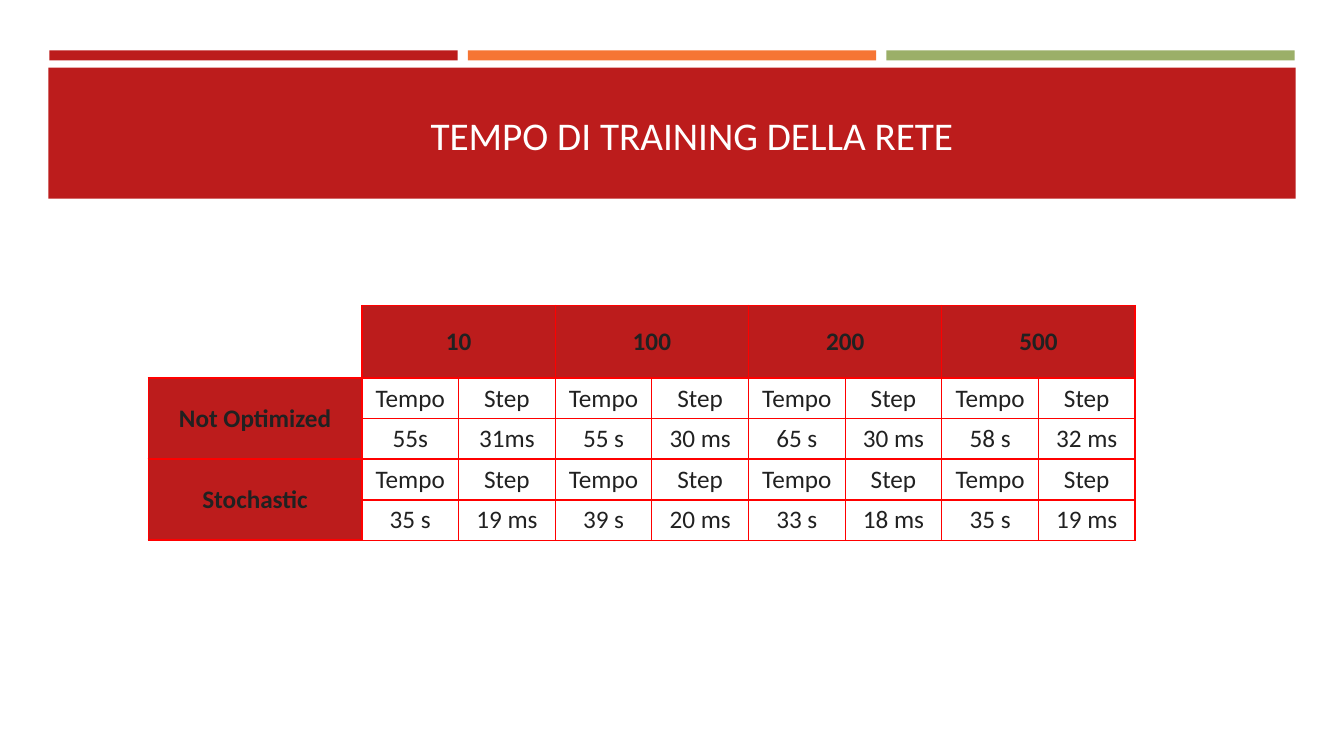
"""Slide with the training times of the network, by number of samples and method."""
from lxml import etree
from pptx import Presentation
from pptx.dml.color import RGBColor
from pptx.enum.shapes import MSO_SHAPE
from pptx.enum.text import MSO_ANCHOR, MSO_AUTO_SIZE, PP_ALIGN
from pptx.oxml.ns import qn
from pptx.util import Inches, Pt

RECT = MSO_SHAPE.RECTANGLE
CENTER = PP_ALIGN.CENTER
TOP, MIDDLE, BOTTOM = MSO_ANCHOR.TOP, MSO_ANCHOR.MIDDLE, MSO_ANCHOR.BOTTOM
NO_FIT = MSO_AUTO_SIZE.NONE

TITLE = "TEMPO DI TRAINING DELLA RETE "
SIZES = ["10", "100", "200", "500"]
MEASURES = ["Tempo", "Step"]
TIMES = {
    "Not Optimized": [("55s", "31ms"), ("55 s", "30 ms"), ("65 s", "30 ms"), ("58 s", "32 ms")],
    "Stochastic": [("35 s", "19 ms"), ("39 s", "20 ms"), ("33 s", "18 ms"), ("35 s", "19 ms")],
}
COLORS = {"red": "BC1C1C", "orange": "F67534", "green": "9BAF68",
          "border": "FF0000", "text": "212121", "white": "FFFFFF"}
FONT = "Calibri"

BAR_LEFT, BAR_TOP, BAR_W, BAR_H, BAR_STEP = 0.49, 0.5, 4.05, 0.1, 4.15
GRID_LEFT, GRID_TOP = 1.47, 3.03
LABEL_W, GROUP_W, HEAD_H, BLOCK_H = 2.12, 1.917, 0.72, 0.804


def rgb(name):
    return RGBColor.from_string(COLORS[name])


def style(p, size, color, bold=False):
    p.alignment = CENTER
    p.font.name, p.font.size, p.font.bold = FONT, Pt(size), bold
    p.font.color.rgb = rgb(color)


def add_bar(s, x, y, w, h, color):
    sp = s.shapes.add_shape(RECT, Inches(x), Inches(y), Inches(w), Inches(h))
    sp.shadow.inherit = False
    sp.fill.solid()
    sp.fill.fore_color.rgb = rgb(color)
    sp.line.fill.background()


def add_borders(cell):
    tc_pr = cell._tc.get_or_add_tcPr()
    for i, side in enumerate(("lnL", "lnR", "lnT", "lnB")):
        ln = etree.Element(qn("a:" + side), w=str(Pt(1)))
        fill = etree.SubElement(ln, qn("a:solidFill"))
        etree.SubElement(fill, qn("a:srgbClr"), val=COLORS["border"])
        tc_pr.insert(i, ln)


def add_grid(s, x, y, w, h, rows, header=False):
    n_rows, n_cols = len(rows), len(rows[0])
    table = s.shapes.add_table(n_rows, n_cols, Inches(x), Inches(y), Inches(w), Inches(h)).table
    table.first_row = table.horz_banding = False
    for r, row in enumerate(rows):
        for c, text in enumerate(row):
            cell = table.cell(r, c)
            cell.text = text
            cell.vertical_anchor = MIDDLE if header else TOP
            style(cell.text_frame.paragraphs[0], 18, "text", header)
            if header:
                cell.fill.solid()
                cell.fill.fore_color.rgb = rgb("red")
            else:
                cell.fill.background()
            add_borders(cell)


def main():
    prs = Presentation()
    prs.slide_width, prs.slide_height = Inches(13.33), Inches(7.5)
    s = prs.slides.add_slide(prs.slide_layouts[5])

    for i, color in enumerate(("red", "orange", "green")):
        add_bar(s, BAR_LEFT + i * BAR_STEP, BAR_TOP, BAR_W, BAR_H, color)
    add_bar(s, 0.48, 0.67, 12.37, 1.3, "red")

    title = s.shapes.title
    title.element.getparent().append(title.element)
    title.left, title.top = Inches(2.74), Inches(0.84)
    title.width, title.height = Inches(8.33), Inches(0.78)
    tf = title.text_frame
    tf.text = TITLE
    tf.word_wrap, tf.auto_size, tf.vertical_anchor = True, NO_FIT, BOTTOM
    style(tf.paragraphs[0], 28, "white")

    group_x = [GRID_LEFT + LABEL_W + i * GROUP_W for i in range(len(SIZES))]
    for x, size in zip(group_x, SIZES):
        add_grid(s, x, GRID_TOP, GROUP_W, HEAD_H, [[size]], header=True)
    for i, (method, times) in enumerate(TIMES.items()):
        y = GRID_TOP + HEAD_H + i * BLOCK_H
        add_grid(s, GRID_LEFT, y, LABEL_W, BLOCK_H, [[method]], header=True)
        for x, pair in zip(group_x, times):
            add_grid(s, x, y, GROUP_W, BLOCK_H, [MEASURES, pair])

    prs.save("out.pptx")


if __name__ == "__main__":
    main()
